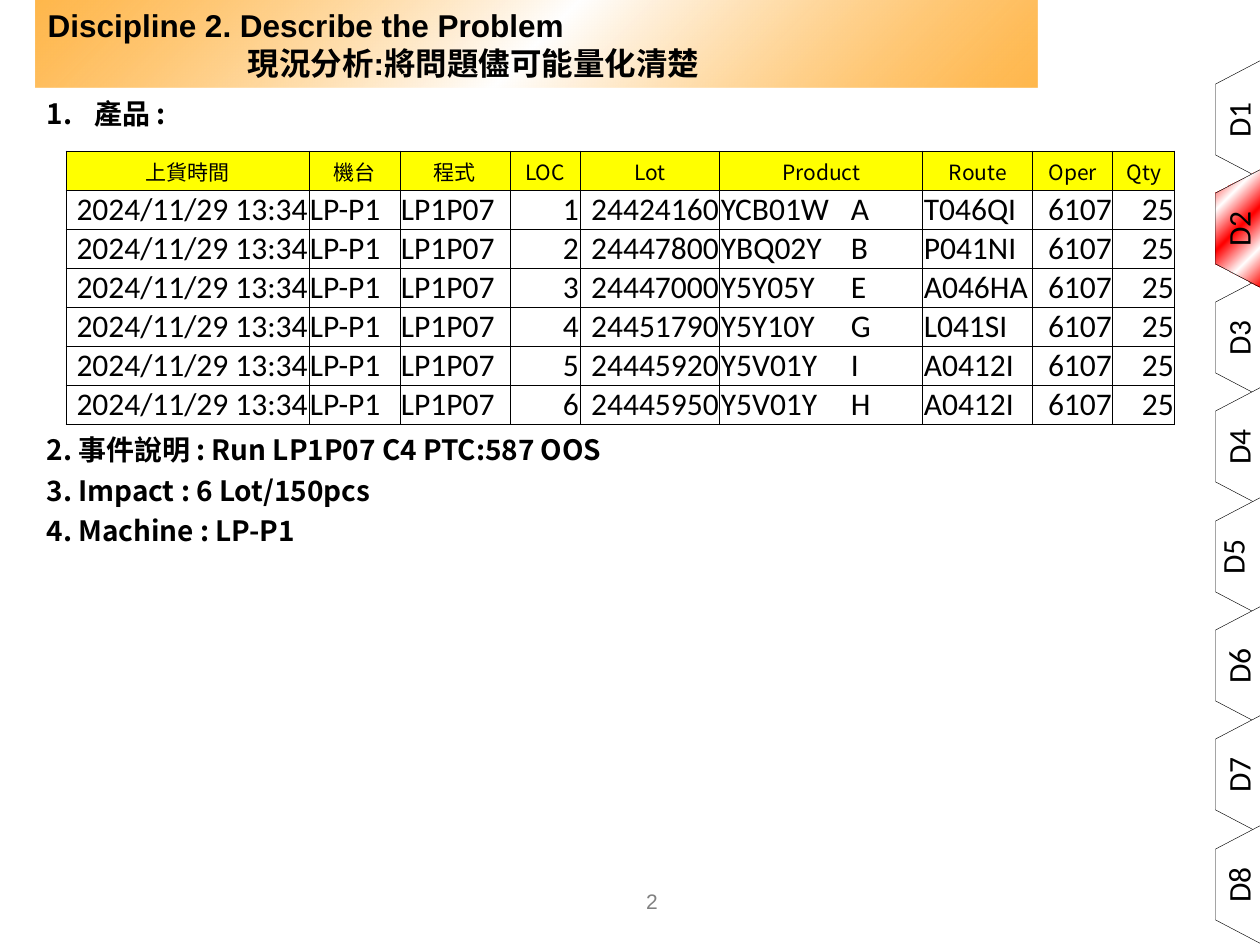
from lxml import etree
from pptx import Presentation
from pptx.dml.color import RGBColor
from pptx.enum.shapes import MSO_SHAPE
from pptx.enum.text import MSO_ANCHOR, MSO_AUTO_SIZE, PP_ALIGN
from pptx.oxml.ns import qn
from pptx.util import Pt

LEFT, CENTER, RIGHT = PP_ALIGN.LEFT, PP_ALIGN.CENTER, PP_ALIGN.RIGHT
TOP, MIDDLE, BOTTOM = MSO_ANCHOR.TOP, MSO_ANCHOR.MIDDLE, MSO_ANCHOR.BOTTOM
NO_AUTOFIT = MSO_AUTO_SIZE.NONE
TAB_OUTLINE = MSO_SHAPE.FLOWCHART_MANUAL_OPERATION
PX = 914400 // 126
CJK = "Noto Sans CJK SC"


def color(value):
    return RGBColor.from_string(value)


def write(paragraph, text, size=18, font="Calibri", fill="000000", bold=False, align=LEFT):
    paragraph.alignment = align
    run = paragraph.add_run()
    run.text = text
    run.font.size = Pt(size)
    run.font.name = font
    run.font.bold = bold
    run.font.color.rgb = color(fill)
    etree.SubElement(run.font._element, qn("a:ea"), typeface=CJK)


deck = Presentation()
deck.slide_width, deck.slide_height = 1260 * PX, 945 * PX
slide = deck.slides.add_slide(deck.slide_layouts[1])
shapes = slide.shapes

page = shapes.add_textbox(505 * PX, 876 * PX, 294 * PX, 50 * PX).text_frame
page.word_wrap = True
page.vertical_anchor = MIDDLE
write(page.paragraphs[0], "2", size=12, font="Arial", fill="808080", align=CENTER)

heading, details = slide.placeholders
heading.left, heading.top, heading.width, heading.height = 35 * PX, 0, 1002 * PX, 88 * PX
heading.text_frame.auto_size = NO_AUTOFIT
heading.text_frame.vertical_anchor = MIDDLE
write(heading.text_frame.paragraphs[0], "Discipline 2. Describe the Problem", font="Arial", bold=True)
subheading = heading.text_frame.add_paragraph()
subheading._p.get_or_add_pPr().set("marL", str(200 * PX))
write(subheading, "現況分析:將問題儘可能量化清楚", font="Arial", bold=True)

details.left, details.top, details.width, details.height = 34 * PX, 90 * PX, 1166 * PX, 510 * PX
details.text_frame.auto_size = NO_AUTOFIT
details.text_frame.vertical_anchor = TOP
statements = [
    ("產品 :", 0, 48),
    ("2. 事件說明 : Run LP1P07 C4 PTC:587 OOS", 173, 0),
    ("3. Impact : 6 Lot/150pcs", 4, 0),
    ("4. Machine : LP-P1", 4, 0),
]
for index, (statement, gap, indent) in enumerate(statements):
    line = details.text_frame.add_paragraph() if index else details.text_frame.paragraphs[0]
    line.space_before = Pt(gap)
    properties = line._p.get_or_add_pPr()
    properties.set("marL", str(indent * PX))
    properties.set("indent", str(-indent * PX))
    if indent:
        etree.SubElement(properties, qn("a:buFont"), typeface=CJK)
        etree.SubElement(properties, qn("a:buAutoNum"), type="arabicPeriod")
    else:
        etree.SubElement(properties, qn("a:buNone"))
    write(line, statement, size=16, font=CJK, bold=True)

for number in (1, 3, 4, 5, 6, 7, 8, 2):
    middle = 120 + (number - 1) * 765 // 7
    tab = shapes.add_shape(TAB_OUTLINE, 1179 * PX, (middle - 23) * PX, 118 * PX, 45 * PX)
    tab.rotation = 90
    tab.shadow.inherit = False
    tab.fill.solid()
    tab.fill.fore_color.rgb = color("FFFFFF")
    tab.line.color.rgb = color("000000")
    tab.line.width = Pt(0.25)
    center = 1232 if number == 5 else 1238
    label = shapes.add_textbox((center - 29) * PX, (middle - 33) * PX, 58 * PX, 66 * PX).text_frame
    label.word_wrap = True
    label.vertical_anchor = MIDDLE
    label._txBody.bodyPr.set("vert", "vert270")
    write(label.paragraphs[0], f"D{number}", align=CENTER)
current_tab = tab

gradients = [
    (heading, [(0, "FF9900", 70), (50, "FFFFFF", 100), (100, "FF9900", 70)]),
    (current_tab, [(0, "FE0600", 100), (25, "FFFFFF", 100), (50, "FF0000", 100),
                   (75, "FFFFFF", 100), (100, "FE0600", 100)]),
]
for shape, stops in gradients:
    shape.fill.gradient()
    shape.fill.gradient_angle = 315
    gradient = shape._element.spPr.find(qn("a:gradFill"))
    gradient.set("rotWithShape", "0")
    stop_list = gradient.find(qn("a:gsLst"))
    for old_stop in list(stop_list):
        stop_list.remove(old_stop)
    for position, value, opacity in stops:
        stop = etree.SubElement(stop_list, qn("a:gs"), pos=str(position * 1000))
        tint = etree.SubElement(stop, qn("a:srgbClr"), val=value)
        if opacity < 100:
            etree.SubElement(tint, qn("a:alpha"), val=str(opacity * 1000))

headers = ["上貨時間", "機台", "程式", "LOC", "Lot", "Product", "Route", "Oper", "Qty"]
lots = [
    ("24424160", "YCB01W\tA", "T046QI"),
    ("24447800", "YBQ02Y\tB", "P041NI"),
    ("24447000", "Y5Y05Y\tE", "A046HA"),
    ("24451790", "Y5Y10Y\tG", "L041SI"),
    ("24445920", "Y5V01Y\tI", "A0412I"),
    ("24445950", "Y5V01Y\tH", "A0412I"),
]
rows = [headers] + [
    ["2024/11/29 13:34", "LP-P1", "LP1P07", str(loc), *lot, "6107", "25"]
    for loc, lot in enumerate(lots, 1)
]
widths = [243, 91, 110, 70, 140, 203, 110, 80, 62]
aligns = [RIGHT, LEFT, LEFT, RIGHT, RIGHT, LEFT, LEFT, RIGHT, RIGHT]
table = shapes.add_table(
    len(rows), len(widths), 66 * PX, 151 * PX, sum(widths) * PX, 39 * len(rows) * PX
).table
table.first_row = False
table.horz_banding = False
for column, width in zip(table.columns, widths):
    column.width = width * PX
for row_index, values in enumerate(rows):
    table.rows[row_index].height = 39 * PX
    for column_index, value in enumerate(values):
        cell = table.cell(row_index, column_index)
        cell.margin_left = cell.margin_right = cell.margin_top = PX
        cell.margin_bottom = 0
        for edge in ("lnL", "lnR", "lnT", "lnB"):
            border = etree.SubElement(cell._tc.get_or_add_tcPr(), qn(f"a:{edge}"), w=str(Pt(0.5)))
            ink = etree.SubElement(border, qn("a:solidFill"))
            etree.SubElement(ink, qn("a:srgbClr"), val="000000")
        entry = cell.text_frame.paragraphs[0]
        if row_index == 0:
            cell.vertical_anchor = MIDDLE
            cell.fill.solid()
            cell.fill.fore_color.rgb = color("FFFF00")
            write(entry, value, size=12, font=CJK, align=CENTER)
        else:
            cell.vertical_anchor = BOTTOM
            cell.fill.background()
            if "\t" in value:
                tab_stops = etree.SubElement(entry._p.get_or_add_pPr(), qn("a:tabLst"))
                etree.SubElement(tab_stops, qn("a:tab"), pos=str(130 * PX), algn="l")
            write(entry, value, align=aligns[column_index])

deck.save("out.pptx")
